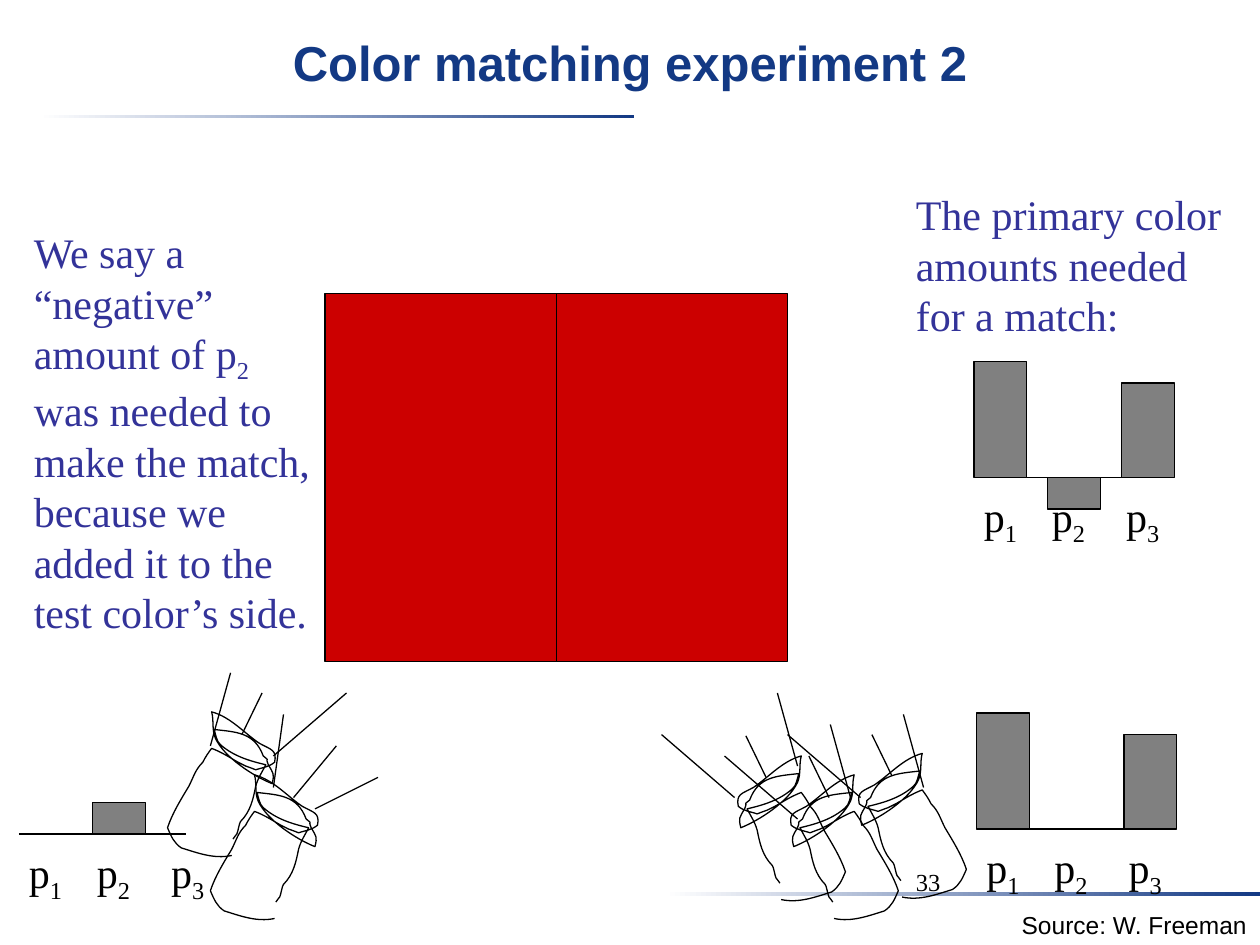
from lxml import etree
from pptx import Presentation
from pptx import util as u
from pptx.dml import color
from pptx.enum import shapes, text
from pptx.oxml import ns

LAMP_WIDTH = 0.87
LAMP_OUTLINE = [
    (36, 114), (50, 117), (63, 112), (76, 108), (82, 104), (84, 99), (87, 92),
    (83, 80), (76, 69), (70, 59), (66, 51), (65, 46), (59, 40),
    (57, 36), (55, 33), (52, 29), (44, 32), (38, 36), (31, 40),
    (29, 41), (27, 42), (25, 43), (22, 44), (17, 46), (17, 46),
    (11, 44), (7, 44), (2, 40), (0, 30), (5, 30), (14, 25),
    (26, 17), (37, 4), (52, 0), (50, 7), (52, 14), (49, 21),
    (42, 36), (19, 51), (4, 57), (2, 49), (3, 49), (7, 42),
    (10, 35), (5, 40), (11, 35), (18, 16), (33, 16), (50, 14),
    (49, 17), (48, 24), (45, 26), (35, 35), (22, 39), (9, 42),
    (12, 48), (15, 52), (17, 59), (19, 69), (21, 79), (29, 87),
    (30, 88), (31, 95), (32, 97), (33, 98), (35, 101), (35, 101),
]
RAYS = [(-0.58, -0.5), (-0.16, -0.58), (-0.16, -0.33)]
LOW_RAYS = [(-0.5, -0.25), (-0.08, -0.58), (-0.34, -0.41)]


def inches(value):
    """Return a length given in inches."""
    return u.Cm(value * 2.54)


def rgb(value):
    """Return the colour for a hex string."""
    return color.RGBColor.from_string(value)


def style_outline(shape):
    """Give a shape or connector the thin black line."""
    shape.line.color.rgb = rgb("000000")
    shape.line.width = u.Pt(0.75)


def add_rectangle(slide, left, top, width, height, fill):
    """Add an outlined rectangle."""
    shape = slide.shapes.add_shape(
        shapes.MSO_SHAPE.RECTANGLE, *map(inches, (left, top, width, height)))
    shape.shadow.inherit = False
    shape.fill.solid()
    shape.fill.fore_color.rgb = rgb(fill)
    style_outline(shape)


def add_line(slide, *ends):
    """Add a straight line between two points."""
    line = slide.shapes.add_connector(
        shapes.MSO_CONNECTOR.STRAIGHT, *map(inches, ends))
    style_outline(line)
    etree.SubElement(line._element.spPr, ns.qn("a:effectLst"))


def add_gradient_rule(slide, left, top):
    """Add a rule fading in from white to dark blue."""
    rule = slide.shapes.add_shape(
        shapes.MSO_SHAPE.RECTANGLE, *map(inches, (left, top, 4.72, 0.03)))
    rule.shadow.inherit = False
    rule.line.fill.background()
    rule.fill.gradient()
    rule.fill.gradient_angle = 0
    for stop, value in zip(rule.fill.gradient_stops, ("FFFFFF", "133984")):
        stop.color.rgb = rgb(value)


def set_font(paragraph, name, size, value):
    """Set the font shared by all runs of a paragraph."""
    paragraph.font.name = name
    paragraph.font.size = u.Pt(size)
    paragraph.font.color.rgb = rgb(value)


def add_text(slide, box, pieces, size=24, value="333399",
             name="Times New Roman", wrap=True, tabs=()):
    """Add a text box whose every second piece is a subscript."""
    frame = slide.shapes.add_textbox(*map(inches, box)).text_frame
    frame.word_wrap = wrap
    paragraph = frame.paragraphs[0]
    if tabs:
        stops = etree.SubElement(
            paragraph._p.get_or_add_pPr(), ns.qn("a:tabLst"))
        for position in tabs:
            etree.SubElement(stops, ns.qn("a:tab"),
                             pos=str(inches(position)), algn="l")
    set_font(paragraph, name, size, value)
    for index, piece in enumerate(pieces):
        run = paragraph.add_run()
        run.text = piece
        if index % 2:
            run._r.get_or_add_rPr().set("baseline", "-25000")


def add_title(slide, title):
    """Place and format the title with its rule."""
    add_gradient_rule(slide, 0.31, 0.91)
    shape = slide.shapes.title
    shape.left, shape.top, shape.width, shape.height = map(
        inches, (0, 0.2, 10, 0.75))
    frame = shape.text_frame
    frame.text = title
    frame.vertical_anchor = text.MSO_ANCHOR.TOP
    frame.margin_top = inches(0.06)
    paragraph = frame.paragraphs[0]
    paragraph.alignment = text.PP_ALIGN.CENTER
    set_font(paragraph, "Arial", 28, "133984")
    paragraph.font.bold = True


def add_color_field(slide, left, top, width, height):
    """Add the two halves of the matched field."""
    for half in range(2):
        add_rectangle(slide, left + half * width / 2, top, width / 2, height,
                      "CC0000")


def add_amounts(slide, left, baseline, amounts):
    """Add bars for the three primaries above or below a baseline."""
    add_line(slide, left, baseline, left + 1.33, baseline)
    for index, amount in enumerate(amounts):
        if amount:
            add_rectangle(slide, left + index * 0.585,
                          baseline - max(amount, 0), 0.42, abs(amount),
                          "808080")
    add_text(slide, (left - 0.02, baseline + 0.05, 1.78, 0.5),
             ["p", "1", "\tp", "2", "\tp", "3"], value="000000", wrap=False,
             tabs=(0.54, 1.13))


def curve_segments(shape):
    """Turn each three straight segments of a freeform into one curve."""
    segments = list(shape._element.iter(ns.qn("a:lnTo")))
    for first in range(0, len(segments), 3):
        curve, *others = segments[first:first + 3]
        bezier = etree.Element(ns.qn("a:cubicBezTo"))
        curve.addprevious(bezier)
        for segment in (curve, *others):
            bezier.append(segment[0])
            segment.getparent().remove(segment)


def add_lamp(slide, left, top, ray_starts, rays=RAYS, mirrored=False):
    """Add a lamp outline and its rays, facing left unless mirrored."""
    def place(x):
        return LAMP_WIDTH - x if mirrored else x

    points = [(place(x / 100) * 1000, y * 10) for x, y in LAMP_OUTLINE]
    builder = slide.shapes.build_freeform(*points[0], scale=inches(1) / 1000)
    builder.add_line_segments(points[1:], close=False)
    lamp = builder.convert_to_shape(inches(left), inches(top))
    curve_segments(lamp)
    lamp.shadow.inherit = False
    lamp.fill.background()
    style_outline(lamp)
    for (x, y), (dx, dy) in zip(ray_starts, rays):
        add_line(slide, left + place(x), top + y,
                 left + place(x + dx), top + y + dy)


def add_footer(slide):
    """Add the bottom rule, source and slide number."""
    add_gradient_rule(slide, 5.28, 7.08)
    add_text(slide, (8.01, 7.17, 1.99, 0.33), ["Source: W. Freeman"], 14,
             "000000", "Arial", wrap=False)
    add_text(slide, (7.17, 6.83, 2.08, 0.5), ["33"], 14, "000000")


def main():
    """Build the slide and save it."""
    presentation = Presentation()
    presentation.slide_width, presentation.slide_height = map(
        inches, (10, 7.5))
    slide = presentation.slides.add_slide(presentation.slide_layouts[5])
    add_title(slide, "Color matching experiment 2")
    add_footer(slide)
    add_color_field(slide, 2.58, 2.33, 3.67, 2.92)
    outer_starts = [(0.03, 0.35), (0.53, 0.27), (0.28, 0.18)]
    add_lamp(slide, 6.8, 5.98, outer_starts)
    add_lamp(slide, 6.26, 6.15, [(0.07, 0.35), (0.49, 0.18), (0.32, 0.18)])
    add_lamp(slide, 5.84, 6, [(-0.01, 0.33), (0.49, 0.08), (0.24, 0.17)])
    add_lamp(slide, 1.33, 5.65, outer_starts, mirrored=True)
    add_lamp(slide, 1.67, 6.15, [(0.04, 0.27), (0.37, 0.1), (0.21, 0.18)],
             LOW_RAYS, mirrored=True)
    add_amounts(slide, 7.75, 6.58, (0.92, 0, 0.75))
    add_amounts(slide, 0.15, 6.62, (0, 0.25, 0))
    add_amounts(slide, 7.73, 3.79, (0.92, -0.25, 0.75))
    add_text(slide, (0.17, 1.75, 2.42, 3.3), [
        "We say a “negative” amount of p", "2",
        " was needed to make the match, because we added it to the test "
        "color’s side."])
    add_text(slide, (7.17, 1.45, 2.75, 1.3),
             ["The primary color amounts needed for a match:"])
    presentation.save("out.pptx")


if __name__ == "__main__":
    main()
